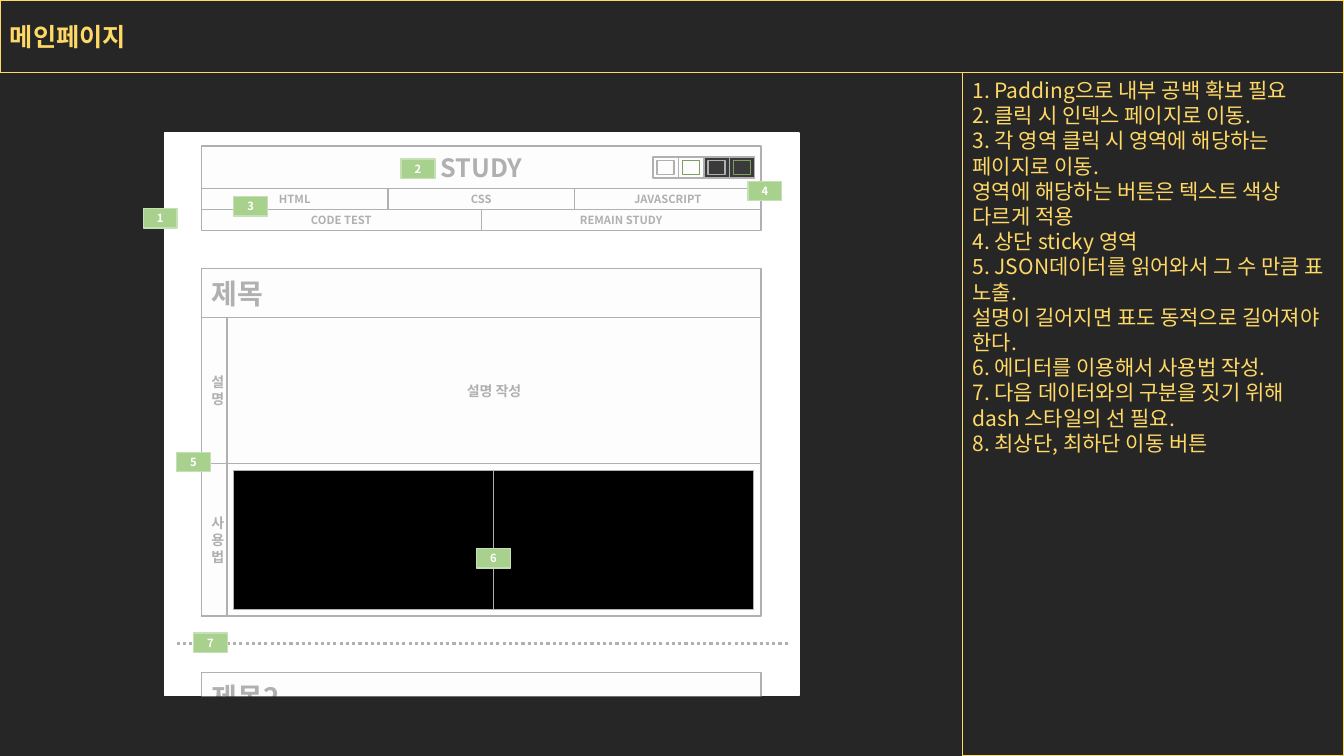
from dataclasses import dataclass

from lxml.etree import SubElement
from pptx import Presentation
from pptx.dml.color import RGBColor as Rgb
from pptx.enum.dml import MSO_LINE as Dash
from pptx.enum.shapes import MSO_CONNECTOR as Conn, MSO_SHAPE as Kind
from pptx.enum.text import MSO_ANCHOR as Anchor, PP_ALIGN as Align
from pptx.oxml.ns import qn
from pptx.slide import Slide
from pptx.text.text import Font
from pptx.util import Cm, Pt

FACE = "Noto Sans CJK KR"
HUES = {
    "dark": "262626", "gold": "FFD966", "white": "FFFFFF", "pale": "FDFDFD",
    "gray": "B0B0B0", "black": "000000", "green": "A9D18E", "mint": "C5E0B4",
    "coal": "3A3A3A", "moss": "7EA05F",
}
NOTES = """1. Padding으로 내부 공백 확보 필요
2. 클릭 시 인덱스 페이지로 이동.
3. 각 영역 클릭 시 영역에 해당하는 페이지로 이동.
영역에 해당하는 버튼은 텍스트 색상 다르게 적용
4. 상단 sticky 영역
5. JSON데이터를 읽어와서 그 수 만큼 표 노출.
설명이 길어지면 표도 동적으로 길어져야 한다.
6. 에디터를 이용해서 사용법 작성.
7. 다음 데이터와의 구분을 짓기 위해 dash 스타일의 선 필요.
8. 최상단, 최하단 이동 버튼"""

LEFT, WIDE = 5.08, 14.1      # wireframe column
NAV, ROW = 4.75, 0.53        # top and row height of the menu
CARD, HEAD = 6.76, 1.24      # top and title height of the card
DESC, USE = 3.68, 3.84       # heights of the two card rows
SIDE = 0.64                  # width of the row labels
CODE = 6.55                  # width of a code pane


@dataclass
class Box:
    x: float
    y: float
    w: float
    h: float
    text: str = ""
    size: float = 8
    fill: str = "pale"
    line: str = "gray"
    ink: str = "gray"
    bold: bool = True
    align: Align = Align.CENTER
    anchor: Anchor = Anchor.MIDDLE


@dataclass
class Tag:
    label: str
    x: float
    y: float


TAGS = [
    Tag("2", 10.11, 4.01), Tag("5", 4.45, 11.4), Tag("6", 12.01, 13.82),
    Tag("1", 3.61, 5.26), Tag("3", 5.89, 4.95), Tag("4", 18.85, 4.57),
    Tag("7", 4.88, 15.95),
]


def color(name: str) -> Rgb:
    return Rgb.from_string(HUES[name])


def style(font: Font, box: Box) -> None:
    """Apply the text format of a box, with the same face for Korean."""
    look = {"name": FACE, "size": Pt(box.size), "bold": box.bold}
    for key, value in look.items():
        setattr(font, key, value)
    font.color.rgb = color(box.ink)


def draw(slide: Slide, box: Box) -> None:
    area = [Cm(v) for v in (box.x, box.y, box.w, box.h)]
    shape = slide.shapes.add_shape(Kind.RECTANGLE, *area)
    shape.shadow.inherit = False
    shape.fill.solid()
    shape.fill.fore_color.rgb = color(box.fill)
    if box.line:
        shape.line.color.rgb = color(box.line)
        shape.line.width = Pt(1)
    else:
        shape.line.fill.background()
    if not box.text:
        return
    frame = shape.text_frame
    frame.word_wrap = True
    frame.vertical_anchor = box.anchor
    for i, text in enumerate(box.text.split("\n")):
        para = frame.add_paragraph() if i else frame.paragraphs[0]
        para.alignment = box.align
        run = para.add_run()
        run.text = text
        style(run.font, box)
        SubElement(run.font._element, qn("a:ea"), typeface=FACE)


def rule(slide: Slide, x: float, end: float, y: float) -> None:
    """Draw the dotted divider between two cards."""
    line = slide.shapes.add_connector(Conn.STRAIGHT, Cm(x), Cm(y), Cm(end), Cm(y))
    line.line.color.rgb = color("gray")
    line.line.width = Pt(2.25)
    line.line.dash_style = Dash.ROUND_DOT
    SubElement(line._element.spPr, qn("a:effectLst"))


def frame(slide: Slide) -> None:
    """Draw the title bar, the notes panel and the page sheet."""
    gold = {"fill": "dark", "line": "gold", "ink": "gold", "align": Align.LEFT}
    draw(slide, Box(0, 0, 33.87, 1.83, "메인페이지", 18, **gold))
    draw(slide, Box(24.26, 1.83, 9.61, 17.22, NOTES, 15, bold=False,
                    anchor=Anchor.TOP, **gold))
    draw(slide, Box(4.14, 3.35, 16, 14.17, fill="white", line="white"))


def menu(slide: Slide) -> None:
    draw(slide, Box(LEFT, 3.68, WIDE, 1.07, "STUDY", 18))
    rows = [["HTML", "CSS", "JAVASCRIPT"], ["CODE TEST", "REMAIN STUDY"]]
    for i, row in enumerate(rows):
        step = WIDE / len(row)
        for j, text in enumerate(row):
            draw(slide, Box(LEFT + j * step, NAV + i * ROW, step, ROW, text))


def card(slide: Slide) -> None:
    top = CARD + HEAD
    base = top + DESC
    draw(slide, Box(LEFT, CARD, WIDE, HEAD + DESC + USE))
    draw(slide, Box(LEFT, CARD, WIDE, HEAD, "제목", 20, align=Align.LEFT))
    draw(slide, Box(LEFT, top, SIDE, DESC, "설명", 10))
    draw(slide, Box(LEFT, base, SIDE, USE, "사용법", 10))
    draw(slide, Box(LEFT + SIDE, top, WIDE - SIDE, DESC, "설명 작성", 10))
    for i in range(2):
        draw(slide, Box(5.89 + i * CODE, 11.86, CODE, 3.5, fill="black"))


def foot(slide: Slide) -> None:
    """Draw the next card, cut off at the edge of the sheet."""
    draw(slide, Box(LEFT, 16.94, WIDE, 1.27, "제목2", 20, align=Align.LEFT))
    rule(slide, 4.45, 19.91, 16.21)
    draw(slide, Box(4.14, 17.55, 16, 1.27, fill="dark", line=""))


def themes(slide: Slide) -> None:
    """Draw the four theme buttons in the page header."""
    for i in range(4):
        x = 16.46 + i * SIDE
        fill = "pale" if i < 2 else "coal"
        draw(slide, Box(x, 3.96, SIDE, 0.53, fill=fill))
        edge = "moss" if i % 2 else "gray"
        draw(slide, Box(x + 0.1, 4.04, 0.43, 0.36, fill=fill, line=edge))


def main() -> None:
    deck = Presentation()
    deck.slide_width, deck.slide_height = Cm(33.87), Cm(19.05)
    slide = deck.slides.add_slide(deck.slide_layouts[6])
    slide.background.fill.solid()
    slide.background.fill.fore_color.rgb = color("dark")
    for part in (frame, menu, card, foot):
        part(slide)
    for tag in TAGS:
        draw(slide, Box(tag.x, tag.y, 0.85, 0.49, tag.label,
                        fill="green", line="mint", ink="white"))
    themes(slide)
    deck.save("out.pptx")


if __name__ == "__main__":
    main()
